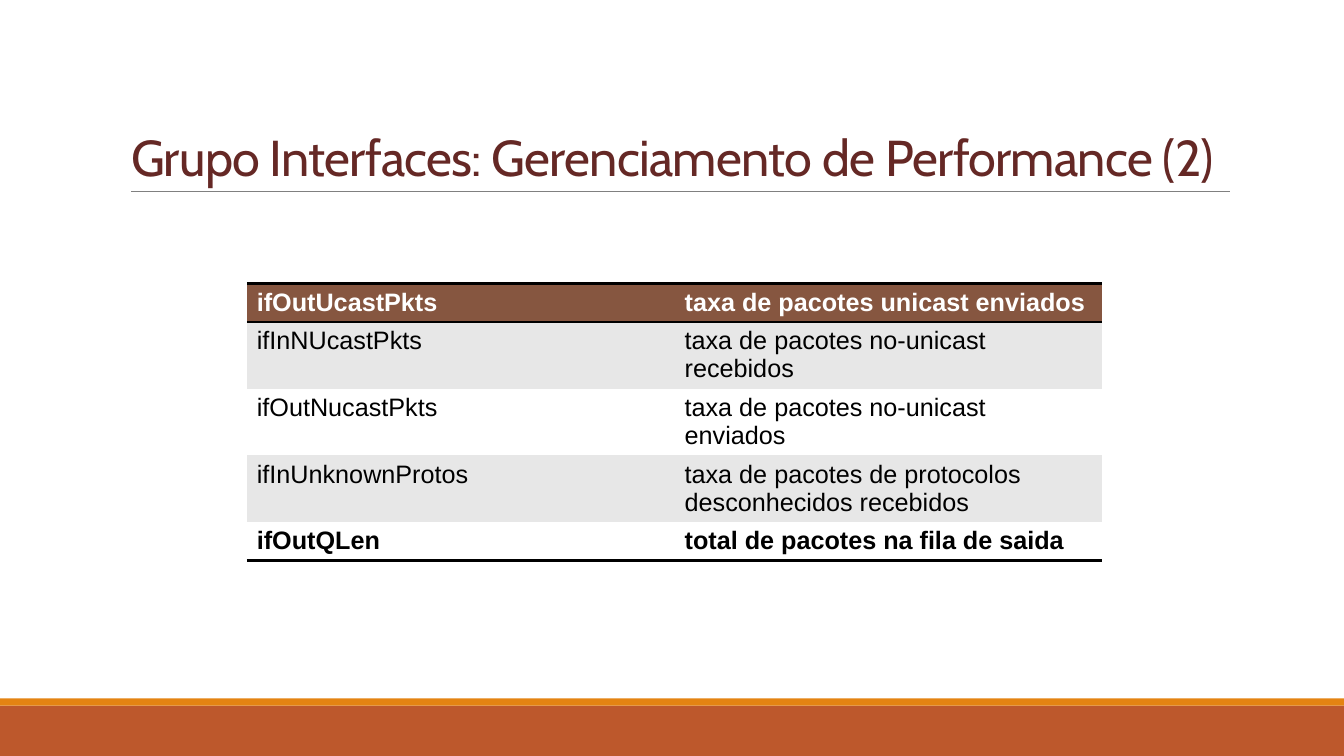
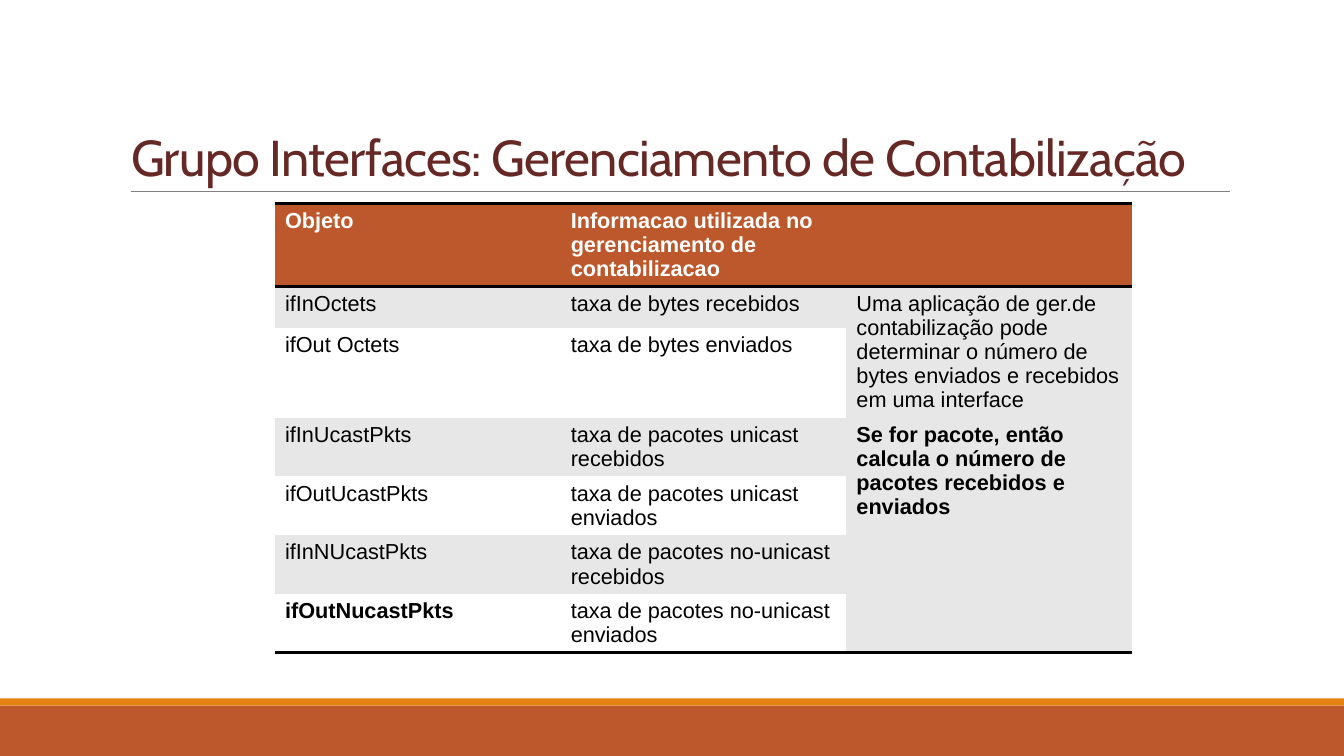
"""Builds two slides on the Interfaces group, each with one table."""
import lxml.etree
import pptx
import pptx.dml.color
import pptx.enum.shapes
import pptx.enum.text
import pptx.oxml.ns
import pptx.util

Cm, Pt, qn = pptx.util.Cm, pptx.util.Pt, pptx.oxml.ns.qn
RUST, ORANGE, BROWN, WINE = "BD582C", "E48312", "865640", "652825"
BLACK, WHITE, GREY, BAND_GREY = "000000", "FFFFFF", "808080", "E7E7E7"
PLAIN_TABLE = "{2D5ABB26-0587-4C30-8999-92F81FD0307C}"


def color(value):
    return pptx.dml.color.RGBColor.from_string(value)


def add_run(paragraph, text, font, size, value, bold=False):
    run = paragraph.add_run()
    run.text = text
    run.font.name, run.font.size, run.font.bold = font, Pt(size), bold
    run.font.color.rgb = color(value)
    return run


topics = [
    {
        "title": "Grupo Interfaces: Gerenciamento de Performance (2)",
        "at": (6.22, 7.14), "column": 10.78, "size": 18, "header": BROWN,
        "heights": [0.97, 1.68, 1.68, 1.68, 0.97],
        "rows": [
            ["ifOutUcastPkts", "taxa de pacotes unicast enviados"],
            ["ifInNUcastPkts", "taxa de pacotes no-unicast recebidos"],
            ["ifOutNucastPkts", "taxa de pacotes no-unicast enviados"],
            ["ifInUnknownProtos", "taxa de pacotes de protocolos desconhecidos recebidos"],
            ["ifOutQLen", "total de pacotes na fila de saida"],
        ],
        "merged": [], "bold": [(4, 0), (4, 1)],
    },
    {
        "title": "Grupo Interfaces: Gerenciamento de Contabilização",
        "at": (6.93, 5.13), "column": 7.2, "size": 15.5, "header": RUST,
        "heights": [2.08, 1.04, 2.27] + [1.48] * 4,
        "rows": [
            ["Objeto", "Informacao utilizada no gerenciamento de contabilizacao", ""],
            ["ifInOctets", "taxa de bytes recebidos",
             "Uma aplicação de ger.de contabilização pode determinar o número de "
             "bytes enviados e recebidos em uma interface"],
            ["ifOut Octets", "taxa de bytes enviados", ""],
            ["ifInUcastPkts", "taxa de pacotes unicast recebidos",
             "Se for pacote, então calcula o número de pacotes recebidos e enviados"],
            ["ifOutUcastPkts", "taxa de pacotes unicast enviados", ""],
            ["ifInNUcastPkts", "taxa de pacotes no-unicast recebidos", ""],
            ["ifOutNucastPkts", "taxa de pacotes no-unicast enviados", ""],
        ],
        "merged": [(1, 2, 2), (3, 6, 2)], "bold": [(3, 2), (6, 0)],
    },
]

deck = pptx.Presentation()
deck.slide_width, deck.slide_height = Cm(33.87), Cm(19.05)
layout = deck.slide_layouts[5]
title_frame = layout.placeholders[0]
title_frame.left, title_frame.top = Cm(3.05), Cm(0.79)
title_frame.width, title_frame.height = Cm(27.94), Cm(4.04)
slides = [deck.slides.add_slide(layout) for topic in topics]

decor = []
for top, height, fill in [(17.78, 1.27, RUST), (17.6, 0.18, ORANGE)]:
    band = slides[0].shapes.add_shape(
        pptx.enum.shapes.MSO_SHAPE.RECTANGLE, 0, Cm(top), deck.slide_width, Cm(height))
    band.shadow.inherit = False
    band.fill.solid()
    band.fill.fore_color.rgb = color(fill)
    band.line.fill.background()
    decor.append(band)
title_rule = slides[0].shapes.add_connector(
    pptx.enum.shapes.MSO_CONNECTOR.STRAIGHT, Cm(3.31), Cm(4.82), Cm(30.99), Cm(4.82))
title_rule.line.color.rgb = color(GREY)
title_rule.line.width = Pt(0.5)
lxml.etree.SubElement(title_rule.element.spPr, qn("a:effectLst"))
decor.append(title_rule)

master_tree = deck.slide_master.shapes.element
for index, part in enumerate(decor):
    part.element.xpath(".//p:cNvPr")[0].set("id", str(20 + index))
    master_tree.insert(2 + index, part.element)

for slide, topic in zip(slides, topics):
    heading = slide.shapes.title.text_frame
    heading.vertical_anchor = pptx.enum.text.MSO_ANCHOR.BOTTOM
    heading.auto_size = pptx.enum.text.MSO_AUTO_SIZE.NONE
    heading.word_wrap = True
    paragraph = heading.paragraphs[0]
    paragraph.alignment = pptx.enum.text.PP_ALIGN.LEFT
    paragraph.line_spacing = 0.85
    title_run = add_run(paragraph, topic["title"], "Cabin", 36, WINE)
    title_run.font._element.set("spc", "-50")

    rows = topic["rows"]
    left, top = topic["at"]
    frame = slide.shapes.add_table(
        len(rows), len(rows[0]), Cm(left), Cm(top),
        Cm(topic["column"] * len(rows[0])), Cm(sum(topic["heights"])))
    next(frame.element.iter(qn("a:tableStyleId"))).text = PLAIN_TABLE
    objects = frame.table
    objects.horz_banding = False
    for column in objects.columns:
        column.width = Cm(topic["column"])
    for row, height in zip(objects.rows, topic["heights"]):
        row.height = Cm(height)
    for first, last, column in topic["merged"]:
        objects.cell(first, column).merge(objects.cell(last, column))

    for r, texts in enumerate(rows):
        for c, text in enumerate(texts):
            cell = objects.cell(r, c)
            is_header = r == 0
            edges = ["a:lnT"] if is_header else []
            if is_header or r + cell.span_height == len(rows):
                edges.append("a:lnB")
            for edge in edges:
                border = lxml.etree.SubElement(
                    cell._tc.get_or_add_tcPr(), qn(edge), w=str(Pt(2)))
                stroke = lxml.etree.SubElement(border, qn("a:solidFill"))
                lxml.etree.SubElement(stroke, qn("a:srgbClr"), val=BLACK)
            cell.fill.solid()
            cell.fill.fore_color.rgb = color(
                topic["header"] if is_header else BAND_GREY if r % 2 else WHITE)
            if text:
                add_run(cell.text_frame.paragraphs[0], text, "Arial", topic["size"],
                        WHITE if is_header else BLACK,
                        is_header or (r, c) in topic["bold"])

deck.save("out.pptx")
